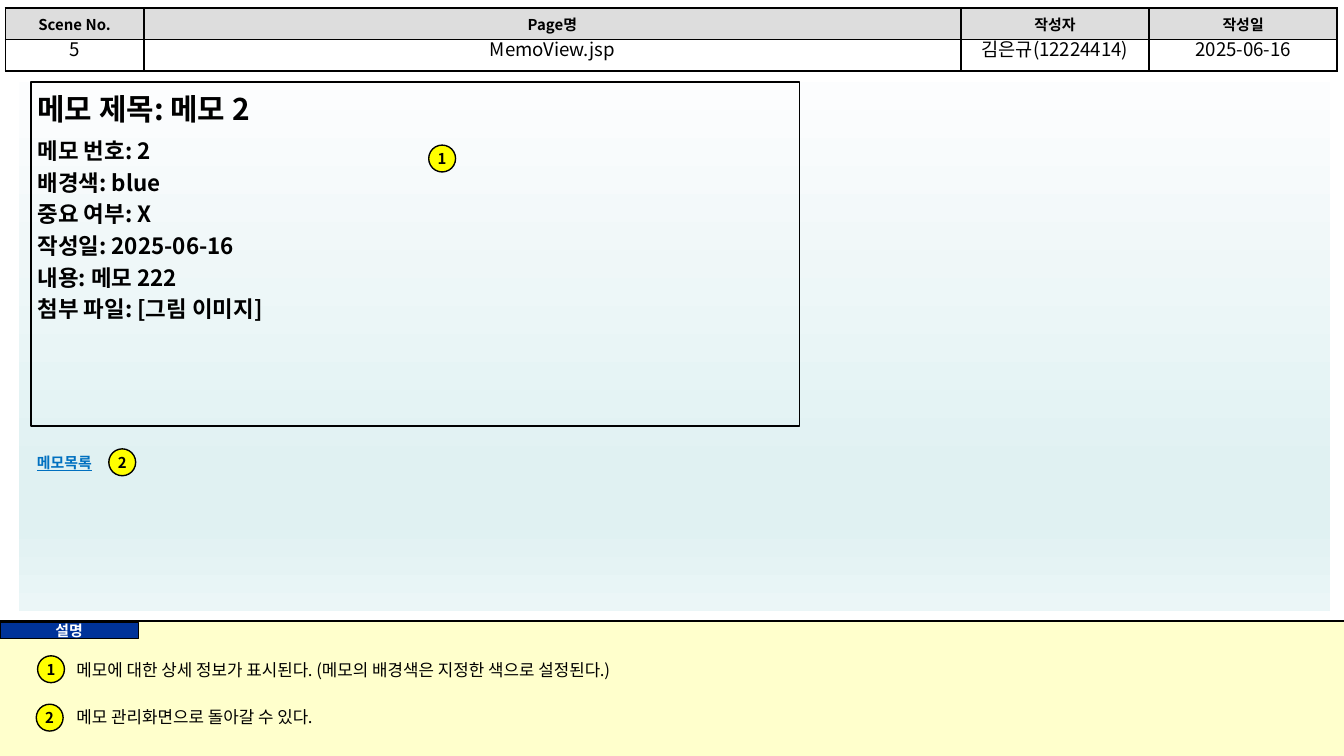
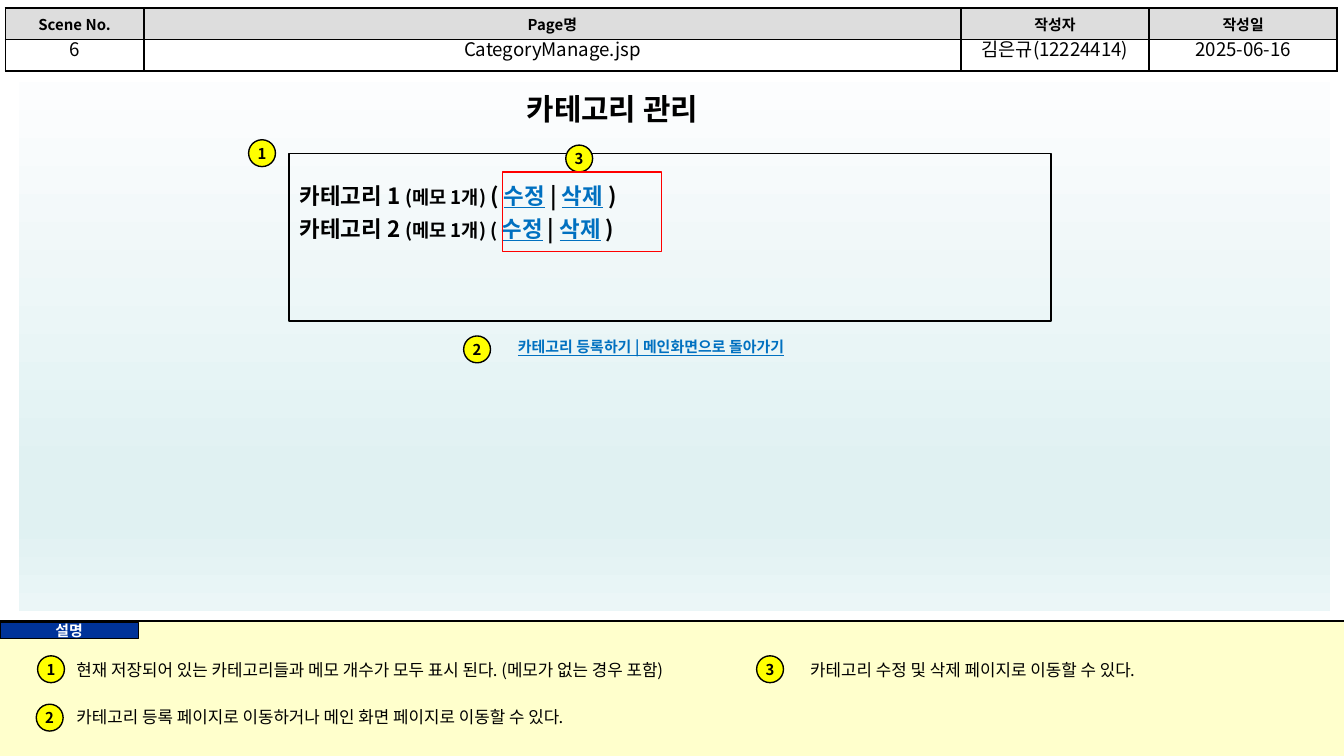
from dataclasses import dataclass

from lxml import etree
from pptx import Presentation
from pptx import util as u
from pptx.dml.color import RGBColor
from pptx.enum import shapes, text
from pptx.oxml import ns

COLUMNS, ROWS = 100, 56.25
CELL = u.Inches(0.1)
FONT = "Noto Sans CJK KR"
COLORS = {
    "ink": "000000", "white": "FFFFFF", "header": "DDDDDD", "notes": "FFFFCC",
    "label": "003399", "badge": "FFFF00", "link": "0070C0", "alert": "FF0000",
}
PANEL_GRADIENT = [(0, "FCFDFE"), (74, "E0F1F2"), (83, "E0F1F2"), (100, "EBF6F7")]
HEADINGS = ["Scene No.", "Page명", "작성자", "작성일"]
HEADER_COLUMNS = [10.3, 60.8, 14, 14]
HEADER_ROW = 2.35
AUTHOR, DATE = "김은규(12224414)", "2025-06-16"
CENTER, MIDDLE = text.PP_ALIGN.CENTER, text.MSO_ANCHOR.MIDDLE
OVAL, RECTANGLE = shapes.MSO_SHAPE.OVAL, shapes.MSO_SHAPE.RECTANGLE
LINK = {"color": "link", "underline": True}


@dataclass
class Box:
    left: float
    top: float
    width: float
    height: float

    def inner(self, left, top, width, height):
        return Box(self.left + left, self.top + top, width, height)

    def lengths(self):
        return [int(n * CELL) for n in (self.left, self.top, self.width, self.height)]


HEADER = Box(0.4, 0.6, sum(HEADER_COLUMNS), 2 * HEADER_ROW)
PANEL = Box(1.4, 6.1, 97.6, 39.4)
NOTES = Box(0, 46.2, COLUMNS, ROWS - 46.2)


def rgb(name):
    return RGBColor.from_string(COLORS[name])


def add_xml(parent, tag, **attributes):
    return etree.SubElement(parent, ns.qn(tag), attributes)


def write(paragraph, content, size=12, bold=False, color="ink", underline=False,
          align=None, line=None, before=None, after=None, indent=None, tab=None):
    run = paragraph.add_run()
    run.text = content
    font = run.font
    font.name, font.size, font.bold, font.underline = FONT, u.Pt(size), bold, underline
    font.color.rgb = rgb(color)
    add_xml(font._element, "a:ea", typeface=FONT)
    if align is not None:
        paragraph.alignment = align
    if line is not None:
        paragraph.line_spacing = u.Pt(line)
    if before is not None:
        paragraph.space_before = u.Pt(before)
    if after is not None:
        paragraph.space_after = u.Pt(after)
    properties = paragraph._p.get_or_add_pPr()
    if indent is not None:
        properties.set("marL", str(int(indent * CELL)))
        properties.set("indent", "0")
    if tab is not None:
        stops = add_xml(properties, "a:tabLst")
        add_xml(stops, "a:tab", pos=str(int(tab * CELL)), algn="l")


def set_frame(shape, wrap=True, anchor=MIDDLE, insets=(0, 0, 0, 0)):
    frame = shape.text_frame
    frame.word_wrap, frame.vertical_anchor = wrap, anchor
    frame.margin_left, frame.margin_top, frame.margin_right, frame.margin_bottom = [
        int(inset * CELL) for inset in insets]
    return frame


def next_paragraph(frame, first):
    return frame.paragraphs[0] if first else frame.add_paragraph()


def add_box(slide, box, kind=RECTANGLE, fill=None, line=None):
    shape = slide.shapes.add_shape(kind, *box.lengths())
    shape.shadow.inherit = False
    if fill:
        shape.fill.solid()
        shape.fill.fore_color.rgb = rgb(fill)
    else:
        shape.fill.background()
    if line:
        shape.line.color.rgb = rgb(line)
        shape.line.width = u.Pt(0.75)
    else:
        shape.line.fill.background()
    return shape


def add_label(slide, box, content, wrap=True, **style):
    shape = slide.shapes.add_textbox(*box.lengths())
    frame = set_frame(shape, wrap)
    write(frame.paragraphs[0], content, align=CENTER, **style)


def add_badge(slide, area, left, top, number):
    badge = add_box(slide, area.inner(left, top, 2, 2), OVAL, "badge", "ink")
    write(set_frame(badge, False).paragraphs[0], str(number), size=8, bold=True, align=CENTER)


def add_link(slide, box, content):
    add_label(slide, box, content, wrap=False, size=8, bold=True, **LINK)


def style_cell(cell, fill):
    cell.margin_left = cell.margin_right = CELL
    cell.margin_top = cell.margin_bottom = u.Inches(0.03)
    cell.vertical_anchor = MIDDLE
    properties = cell._tc.get_or_add_tcPr()
    for side in ("a:lnL", "a:lnR", "a:lnT", "a:lnB"):
        border = add_xml(properties, side, w=str(u.Pt(1)))
        add_xml(add_xml(border, "a:solidFill"), "a:srgbClr", val=COLORS["ink"])
    if fill:
        cell.fill.solid()
        cell.fill.fore_color.rgb = rgb(fill)
    else:
        cell.fill.background()


def add_header(slide, area, scene, page):
    table = slide.shapes.add_table(2, len(HEADINGS), *area.lengths()).table
    for row in table.rows:
        row.height = int(HEADER_ROW * CELL)
    left = 0
    for index, (heading, width, value) in enumerate(
            zip(HEADINGS, HEADER_COLUMNS, [str(scene), page, AUTHOR, DATE])):
        table.columns[index].width = int(width * CELL)
        top_cell, value_cell = table.cell(0, index), table.cell(1, index)
        style_cell(top_cell, "header")
        style_cell(value_cell, None)
        write(top_cell.text_frame.paragraphs[0], heading, size=8, bold=True, align=CENTER)
        value_cell.text_frame.paragraphs[0]._p.get_or_add_endParaRPr().set("sz", "800")
        add_label(slide, area.inner(left, 2.1, width, 1.9), value, size=10)
        left += width


def add_notes(slide, area, notes, badges):
    add_box(slide, area, fill="notes")
    rule = slide.shapes.add_connector(
        shapes.MSO_CONNECTOR.STRAIGHT, *area.lengths()[:2],
        int((area.left + area.width) * CELL), int(area.top * CELL))
    rule.line.color.rgb, rule.line.width = rgb("ink"), u.Pt(0.75)
    add_xml(rule._element.spPr, "a:effectLst")
    label = add_box(slide, area.inner(0, 0.1, 10.3, 1.2), fill="label", line="ink")
    write(set_frame(label, False).paragraphs[0], "설명", size=8, bold=True,
          color="white", align=CENTER)
    shape = slide.shapes.add_textbox(*area.inner(4.7, 2.3, 94.1, 2.3).lengths())
    frame = set_frame(shape, anchor=text.MSO_ANCHOR.TOP, insets=(1, 0.5, 1, 0.5))
    for index, note in enumerate(notes):
        write(next_paragraph(frame, index == 0), note, size=9, line=11.6,
              before=13.6 if index else 0, tab=54.6)
    for number, (left, top) in enumerate(badges, 1):
        add_badge(slide, area, left, top, number)


def add_panel(slide, area):
    panel = add_box(slide, area)
    panel.fill.gradient()
    panel.fill.gradient_angle = 270
    stops = panel._element.spPr.find(".//" + ns.qn("a:gsLst"))
    for stop in list(stops):
        stops.remove(stop)
    for position, color in PANEL_GRADIENT:
        stop = add_xml(stops, "a:gs", pos=str(position * 1000))
        add_xml(stop, "a:srgbClr", val=color)
    return set_frame(panel, anchor=text.MSO_ANCHOR.TOP, insets=(1.4, 0.5, 1, 0.5))


def add_title(frame, content, **style):
    write(frame.paragraphs[0], content, size=16, bold=True, line=20.3,
          align=text.PP_ALIGN.LEFT, **style)


def memo_view(slide, area):
    frame = add_panel(slide, area)
    add_title(frame, "메모 제목: 메모 2", after=3)
    for detail in ["메모 번호: 2", "배경색: blue", "중요 여부: X", "작성일: 2025-06-16",
                   "내용: 메모 222", "첨부 파일: [그림 이미지]"]:
        write(frame.add_paragraph(), detail, bold=True, line=17, align=text.PP_ALIGN.LEFT)
    add_box(slide, area.inner(0.9, 0, 57.2, 25.6), line="ink")
    add_badge(slide, area, 30.5, 4.7, 1)
    add_badge(slide, area, 6.7, 27.3, 2)
    add_link(slide, area.inner(0.2, 27.1, 6.4, 2.4), "메모목록")


def category_manage(slide, area):
    frame = add_panel(slide, area)
    add_title(frame, "카테고리 관리", after=26.5, indent=36.4)
    for number, bracket_size in [(1, 12), (2, 10)]:
        paragraph = frame.add_paragraph()
        for content, style in [
                (f"카테고리 {number} ", {}), ("(메모 1개) ", {"size": 10}),
                ("( ", {"size": bracket_size}), ("수정", LINK), (" | ", {}),
                ("삭제", LINK), (" )", {})]:
            write(paragraph, content, bold=True, line=17.7, indent=19.5,
                  align=text.PP_ALIGN.LEFT, **style)
    add_box(slide, area.inner(20.1, 5.3, 56.7, 12.5), line="ink")
    add_badge(slide, area, 17.1, 4.3, 1)
    add_badge(slide, area, 33.1, 18.9, 2)
    add_link(slide, area.inner(35.1, 18.5, 23.9, 2.4), "카테고리 등록하기 | 메인화면으로 돌아가기")
    add_badge(slide, area, 40.7, 4.7, 3)
    add_box(slide, area.inner(36, 6.7, 11.8, 5.9), line="alert")


SCENES = [
    (5, "MemoView.jsp", memo_view,
     ["메모에 대한 상세 정보가 표시된다. (메모의 배경색은 지정한 색으로 설정된다.)",
      "메모 관리화면으로 돌아갈 수 있다."],
     [(2.8, 2.6), (2.7, 6.2)]),
    (6, "CategoryManage.jsp", category_manage,
     ["현재 저장되어 있는 카테고리들과 메모 개수가 모두 표시 된다. (메모가 없는 경우 포함)"
      "\t카테고리 수정 및 삭제 페이지로 이동할 수 있다.",
      "카테고리 등록 페이지로 이동하거나 메인 화면 페이지로 이동할 수 있다."],
     [(2.8, 2.6), (2.7, 6.2), (56.3, 2.6)]),
]


def main():
    presentation = Presentation()
    presentation.slide_width = int(COLUMNS * CELL)
    presentation.slide_height = int(ROWS * CELL)
    for scene, page, draw_screen, notes, badges in SCENES:
        slide = presentation.slides.add_slide(presentation.slide_layouts[6])
        add_notes(slide, NOTES, notes, badges)
        add_header(slide, HEADER, scene, page)
        draw_screen(slide, PANEL)
    presentation.save("out.pptx")


if __name__ == "__main__":
    main()
